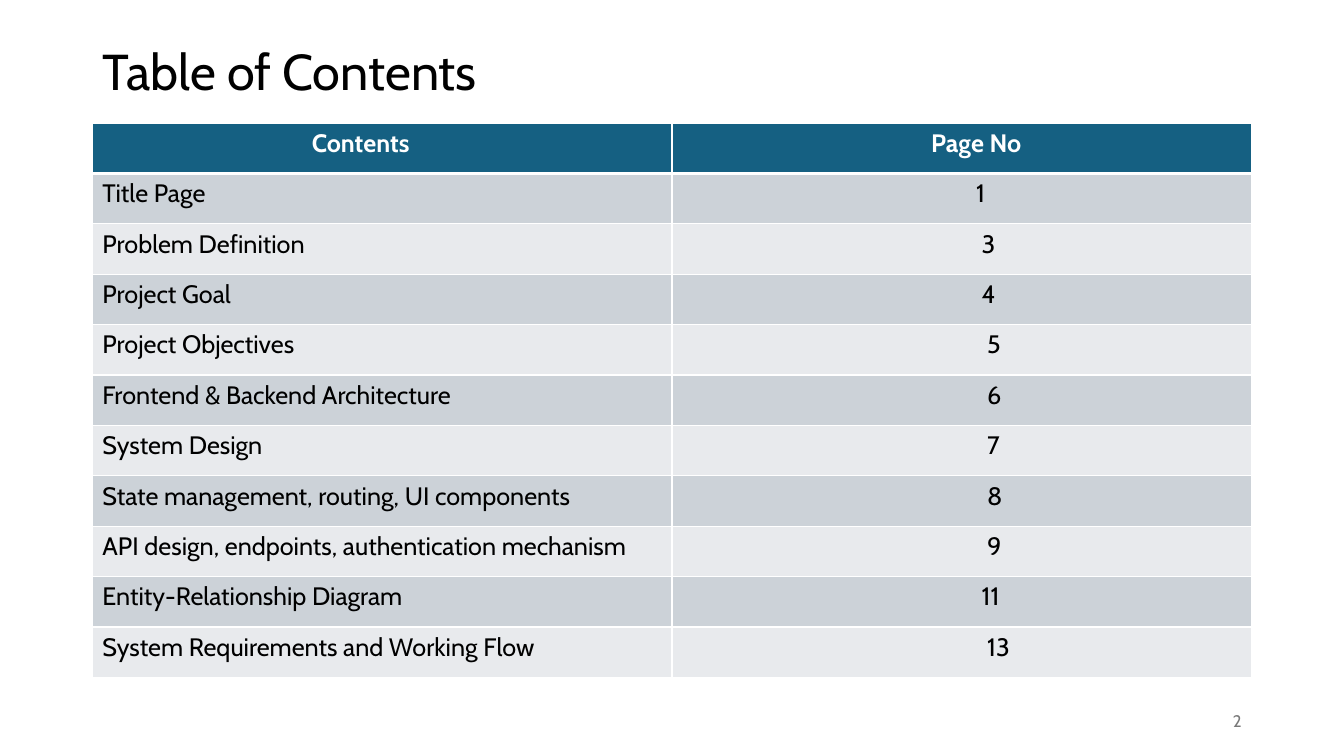
"""Build a table of contents slide."""
from lxml.etree import SubElement
from pptx import Presentation
from pptx.dml.color import RGBColor
from pptx.enum.text import MSO_ANCHOR, PP_ALIGN
from pptx.oxml.ns import qn
from pptx.util import Pt

TITLE = "Table of Contents"
PAGE = "2"
HEADS = [("Contents", 149.5), ("Page No", 178)]
ITEMS = [
    ("Title Page", "1", 210),
    ("Problem Definition", "3", 214),
    ("Project Goal", "4", 214),
    ("Project Objectives", "5", 218),
    ("Frontend & Backend Architecture", "6", 218),
    ("System Design", "7", 218),
    ("State management, routing, UI components", "8", 218),
    ("API design, endpoints, authentication mechanism", "9", 218),
    ("Entity-Relationship Diagram", "11", 214),
    ("System Requirements and Working Flow", "13", 218),
]
FONT = "Cabin"
WHITE, BLACK, GRAY, TEAL = "FFFFFF", "000000", "797979", "156082"
BANDS = ["CCD2D8", "E8EAED"]
LEFT, TOP, WIDE, ROW, PAD = 66, 87.84, 828, 36, 7.2


def color(code):
    return RGBColor.from_string(code)


def write(frame, text, size, code, bold=False, align=PP_ALIGN.LEFT):
    para = frame.paragraphs[0]
    para.alignment = align
    run = para.add_run()
    run.text = text
    run.font.name = FONT
    run.font.size = Pt(size)
    run.font.bold = bold
    run.font.color.rgb = color(code)
    return para


def border(cell, top, base):
    props = cell._tc.get_or_add_tcPr()
    for side, width in (("L", 1), ("R", 1), ("T", top), ("B", base)):
        line = SubElement(props, qn("a:ln" + side), w=str(Pt(width)))
        fill = SubElement(line, qn("a:solidFill"))
        SubElement(fill, qn("a:srgbClr"), val=WHITE)


def add_title(slide):
    box = slide.shapes.title
    box.left, box.top, box.width, box.height = Pt(LEFT), Pt(28.8), Pt(WIDE), Pt(48.24)
    box.text_frame.vertical_anchor = MSO_ANCHOR.MIDDLE
    write(box.text_frame, TITLE, 36, BLACK).line_spacing = 0.9


def add_list(slide):
    rows = [HEADS] + [[(name, 0), (page, shift)] for name, page, shift in ITEMS]
    table = slide.shapes.add_table(
        len(rows), 2, Pt(LEFT), Pt(TOP), Pt(WIDE), Pt(ROW * len(rows))).table
    for col in table.columns:
        col.width = Pt(WIDE / 2)
    for i, row in enumerate(rows):
        table.rows[i].height = Pt(ROW)
        head = i == 0
        for j, (text, shift) in enumerate(row):
            cell = table.cell(i, j)
            border(cell, 3 if i == 1 else 1, 3 if head else 1)
            cell.fill.solid()
            cell.fill.fore_color.rgb = color(TEAL if head else BANDS[(i - 1) % 2])
            cell.margin_left = Pt(PAD + shift)
            write(cell.text_frame, text, 18, WHITE if head else BLACK, head)


def add_page(slide):
    box = slide.shapes.add_textbox(Pt(678), Pt(500.5), Pt(216), Pt(28.75))
    frame = box.text_frame
    frame.word_wrap = True
    frame.vertical_anchor = MSO_ANCHOR.MIDDLE
    write(frame, PAGE, 12, GRAY, align=PP_ALIGN.RIGHT)


def main():
    deck = Presentation()
    deck.slide_width, deck.slide_height = Pt(960), Pt(540)
    slide = deck.slides.add_slide(deck.slide_layouts[5])
    add_title(slide)
    add_list(slide)
    add_page(slide)
    deck.save("out.pptx")


if __name__ == "__main__":
    main()
